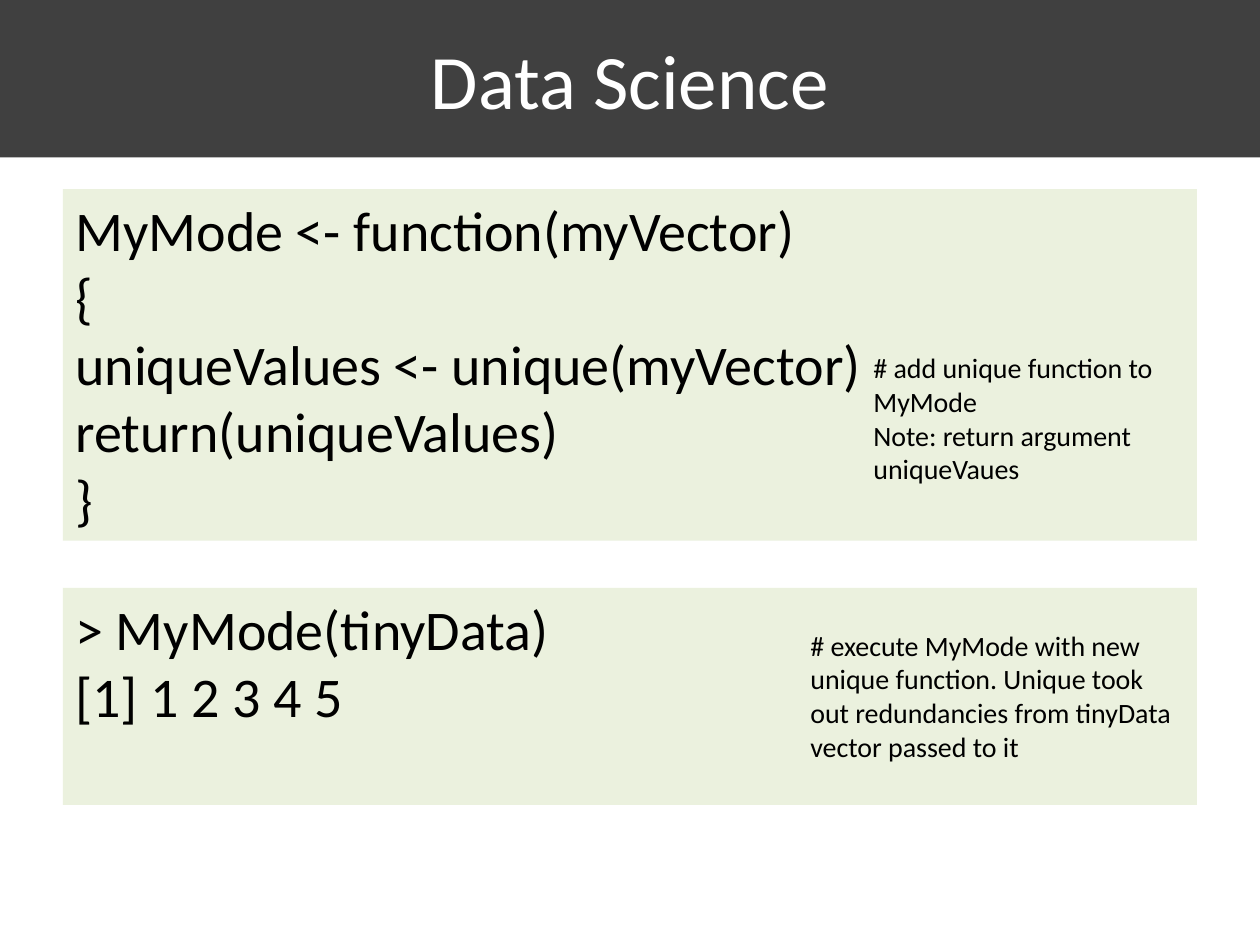
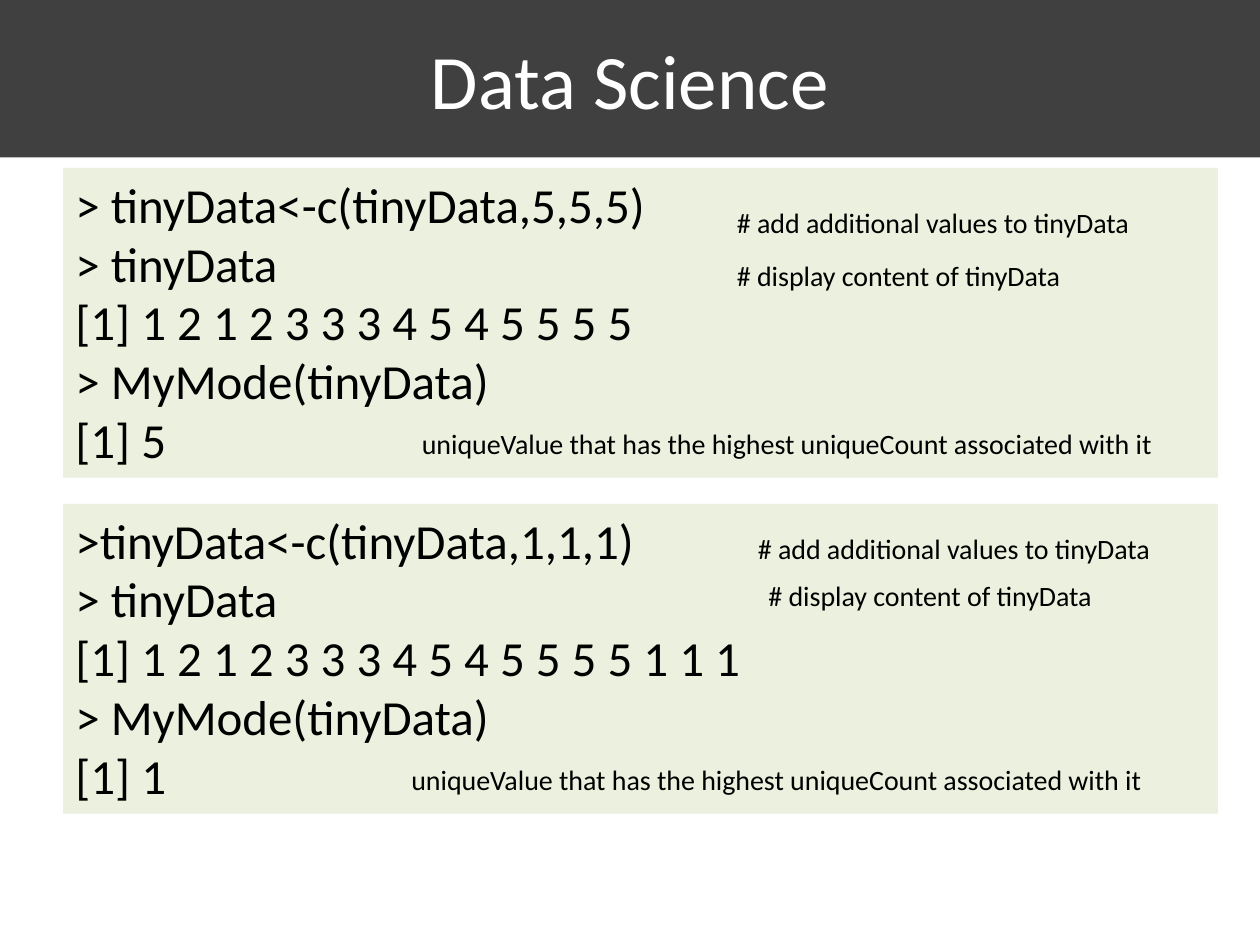
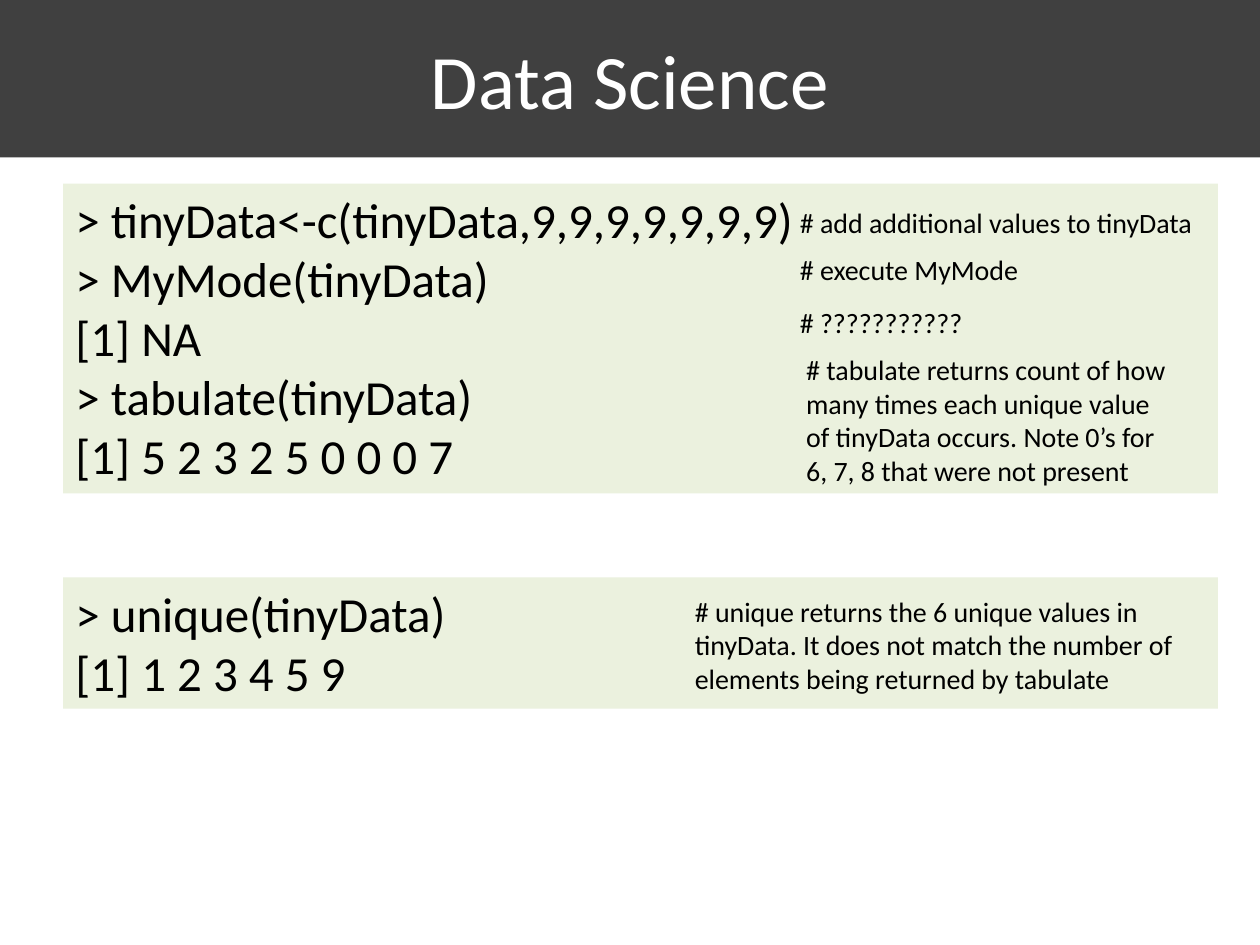
import pptx
import pptx.dml.color
import pptx.enum.shapes
import pptx.enum.text
import pptx.util

Pt = pptx.util.Pt
COLORS = {"band": "404040", "panel": "EBF1DE", "title": "FFFFFF", "text": "000000"}
FONT = "Calibri"
TITLE_SIZE, NOTE_SIZE = 44, 16
SLIDE_W, SLIDE_H, BAND_H = 720, 540, 90
MARGIN = 36
ADD_NOTE = "# add additional values to tinyData"
SHOW_NOTE = "# display content of tinyData"
MODE_NOTE = "uniqueValue that has the highest uniqueCount associated with it"

SLIDES = [
    {"width": 648, "size": 32, "panels": [
        {"top": 108, "height": 201,
         "code": ["MyMode <- function(myVector)", "{",
                  "uniqueValues <- unique(myVector)", "return(uniqueValues)", "}"],
         "notes": [(456, 89, 192, 85, ["# add unique function to MyMode",
                                       "Note: return argument uniqueVaues"])]},
        {"top": 336, "height": 124,
         "code": ["> MyMode(tinyData)", "[1] 1 2 3 4 5"],
         "notes": [(420, 19.5, 222, 85, [
             "# execute MyMode with new unique function. Unique took out "
             "redundancies from tinyData vector passed to it"])]},
    ]},
    {"width": 660, "size": 28, "panels": [
        {"top": 96, "height": 177,
         "code": ["> tinyData<-c(tinyData,5,5,5)", "> tinyData",
                  "[1] 1 2 1 2 3 3 3 4 5 4 5 5 5 5", "> MyMode(tinyData)", "[1] 5"],
         "notes": [(378, 18, 246, 26.6, [ADD_NOTE]),
                   (378, 48, 246, 26.6, [SHOW_NOTE]),
                   (198, 144, 438, 26.6, [MODE_NOTE])]},
        {"top": 288, "height": 177,
         "code": [">tinyData<-c(tinyData,1,1,1)", "> tinyData",
                  "[1] 1 2 1 2 3 3 3 4 5 4 5 5 5 5 1 1 1", "> MyMode(tinyData)", "[1] 1"],
         "notes": [(390, 12, 246, 26.6, [ADD_NOTE]),
                   (396, 39, 246, 26.6, [SHOW_NOTE]),
                   (192, 144, 438, 26.6, [MODE_NOTE])]},
    ]},
    {"width": 660, "size": 28, "panels": [
        {"top": 105, "height": 177,
         "code": ["> tinyData<-c(tinyData,9,9,9,9,9,9,9)", "> MyMode(tinyData)",
                  "[1] NA", "> tabulate(tinyData)", "[1] 5 2 3 2 5 0 0 0 7"],
         "notes": [(414, 9, 246, 26.6, [ADD_NOTE]),
                   (414, 36, 246, 26.6, ["# execute MyMode"]),
                   (414, 66, 246, 26.6, ["# ???????????"]),
                   (417.6, 93, 224.6, 85, [
                       "# tabulate returns count of how many times each unique value "
                       "of tinyData occurs. Note 0’s for 6, 7, 8 that were not present"])]},
        {"top": 330, "height": 75,
         "code": ["> unique(tinyData)", "[1] 1 2 3 4 5 9"],
         "notes": [(354, 6, 288, 65.4, [
             "# unique returns the 6 unique values in tinyData. It does not match "
             "the number of elements being returned by tabulate"])]},
    ]},
]


def rgb(name):
    """Return the named palette colour."""
    return pptx.dml.color.RGBColor.from_string(COLORS[name])


def write(sp, lines, size, color="text", align="LEFT", anchor="TOP"):
    """Fill a shape with one paragraph per line."""
    tf = sp.text_frame
    tf.word_wrap = True
    tf.vertical_anchor = pptx.enum.text.MSO_ANCHOR[anchor]
    tf.text = "\n".join(lines)
    for p in tf.paragraphs:
        p.alignment = pptx.enum.text.PP_ALIGN[align]
        p.font.name, p.font.size = FONT, Pt(size)
        p.font.color.rgb = rgb(color)


def add_block(s, box, fill):
    """Add a flat filled rectangle."""
    sp = s.shapes.add_shape(pptx.enum.shapes.MSO_SHAPE.RECTANGLE, *map(Pt, box))
    sp.shadow.inherit = False
    sp.fill.solid()
    sp.fill.fore_color.rgb = rgb(fill)
    sp.line.fill.background()
    return sp


def add_title(s, box):
    """Add the title band."""
    write(add_block(s, box, "band"), ["Data Science"], TITLE_SIZE, "title", "CENTER", "MIDDLE")


def add_panel(s, box, code, size, notes):
    """Add a code panel with notes placed relative to its corner."""
    write(add_block(s, box, "panel"), code, size)
    left, top = box[:2]
    for x, y, w, h, lines in notes:
        note = s.shapes.add_textbox(Pt(left + x), Pt(top + y), Pt(w), Pt(h))
        write(note, lines, NOTE_SIZE)


def main():
    """Build and save the presentation."""
    prs = pptx.Presentation()
    prs.slide_width, prs.slide_height = Pt(SLIDE_W), Pt(SLIDE_H)
    for content in SLIDES:
        s = prs.slides.add_slide(prs.slide_layouts[6])
        add_title(s, (0, 0, SLIDE_W, BAND_H))
        for panel in content["panels"]:
            box = (MARGIN, panel["top"], content["width"], panel["height"])
            add_panel(s, box, panel["code"], content["size"], panel["notes"])
    prs.save("out.pptx")


if __name__ == "__main__":
    main()
